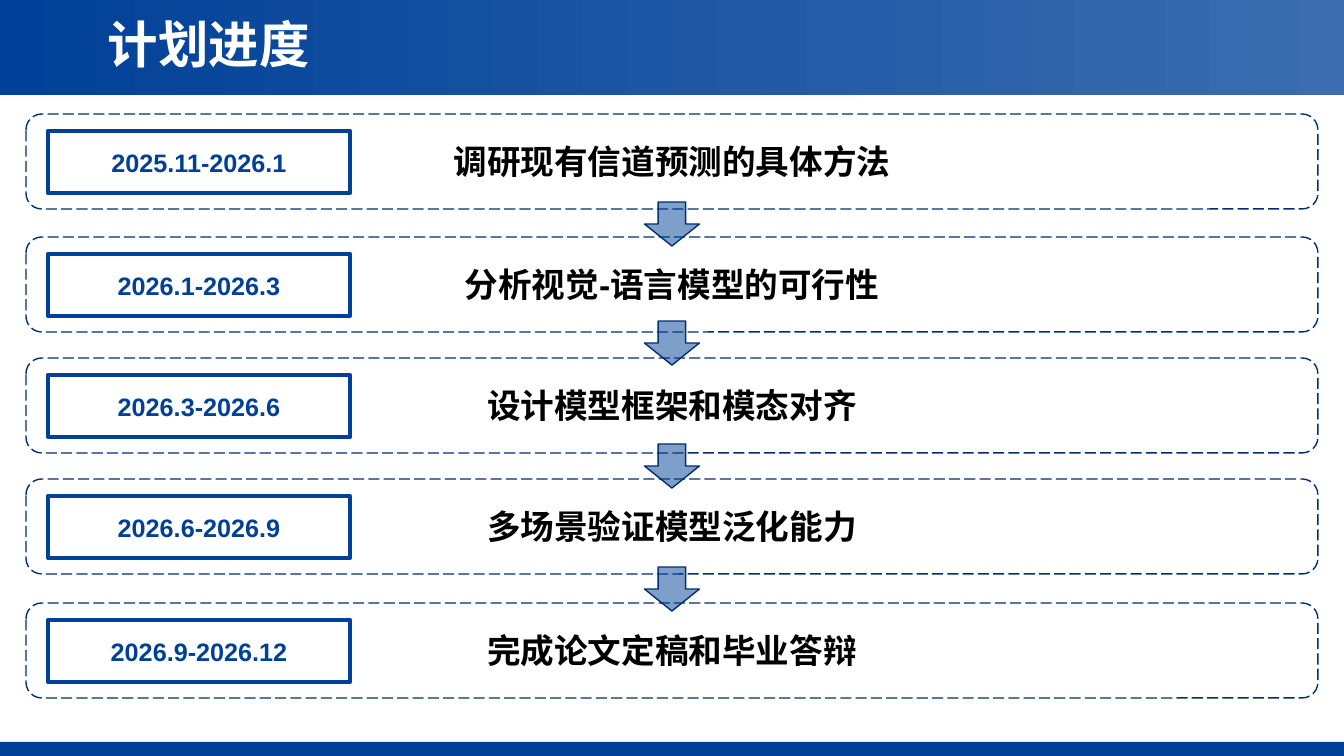
import lxml.etree
import pptx
import pptx.dml.color
import pptx.enum.dml
import pptx.enum.shapes
import pptx.enum.text
import pptx.oxml.ns
import pptx.util

SHAPE = pptx.enum.shapes.MSO_SHAPE
ALIGN = pptx.enum.text.PP_ALIGN
MIDDLE = pptx.enum.text.MSO_ANCHOR.MIDDLE
LONG_DASH = pptx.enum.dml.MSO_LINE.LONG_DASH

WIDTH, HEIGHT = 1344, 756
HEADER_HEIGHT, FOOTER_HEIGHT = 95, 14
STAGE_LEFT, STAGE_WIDTH, STAGE_HEIGHT = 26, 1292, 95
ARROW_WIDTH, ARROW_HEIGHT = 55, 44
BLUE, NAVY, WHITE, BLACK = "004098", "002F70", "FFFFFF", "000000"
CHINESE_FONT = "Noto Sans CJK SC"

STAGES = [
    (114, "2025.11-2026.1", "调研现有信道预测的具体方法"),
    (237, "2026.1-2026.3", "分析视觉-语言模型的可行性"),
    (358, "2026.3-2026.6", "设计模型框架和模态对齐"),
    (479, "2026.6-2026.9", "多场景验证模型泛化能力"),
    (603, "2026.9-2026.12", "完成论文定稿和毕业答辩"),
]
ARROW_TOPS = [202, 321, 444, 567]


def px(length):
    return pptx.util.Emu(round(length * 914400 / 100.8))


def color(value):
    return pptx.dml.color.RGBColor.from_string(value)


def add_block(page, kind, left, top, width, height, fill, line=None, weight=1):
    block = page.shapes.add_shape(kind, px(left), px(top), px(width), px(height))
    block.shadow.inherit = False
    block.fill.solid()
    block.fill.fore_color.rgb = color(fill)
    if line:
        block.line.color.rgb = color(line)
        block.line.width = pptx.util.Pt(weight)
    else:
        block.line.fill.background()
    return block


def write(shape, text, size, ink, font="Arial", align=ALIGN.CENTER):
    frame = shape.text_frame
    frame.text = text
    frame.word_wrap = True
    frame.vertical_anchor = MIDDLE
    para = frame.paragraphs[0]
    para.alignment = align
    span = para.runs[0]
    span.font.name = font
    span.font.size = pptx.util.Pt(size)
    span.font.bold = True
    span.font.color.rgb = color(ink)
    east_asian = lxml.etree.SubElement(span.font._element, pptx.oxml.ns.qn("a:ea"))
    east_asian.set("typeface", CHINESE_FONT)


def add_header(page, left, top, width, height):
    band = add_block(page, SHAPE.RECTANGLE, left, top, width, height, BLUE)
    band.fill.gradient()
    band.fill.gradient_angle = 0
    for stop, shade in zip(band.fill.gradient_stops, (BLUE, "3B6DB0")):
        stop.color.rgb = color(shade)

    title = page.shapes.title
    title.element.getparent().append(title.element)
    title.left, title.top = px(left + 92), px(top)
    title.width, title.height = px(width - 92), px(height)
    write(title, "计划进度", 36, WHITE, CHINESE_FONT, ALIGN.LEFT)
    frame = title.text_frame
    frame.margin_left = frame.margin_right = px(16)
    frame.margin_top = frame.margin_bottom = px(16)
    frame.paragraphs[0].line_spacing = 0.9


def add_stage(page, left, top, width, height, period, task):
    panel = add_block(page, SHAPE.ROUNDED_RECTANGLE, left, top, width, height, WHITE, NAVY)
    panel.line.dash_style = LONG_DASH
    write(panel, task, 24, BLACK)
    label = add_block(page, SHAPE.RECTANGLE, left + 22, top + 17, 302, 62, WHITE, BLUE, 3)
    write(label, period, 18, BLUE)


def add_arrow(page, left, top, width, height):
    arrow = add_block(page, SHAPE.DOWN_ARROW, left, top, width, height, BLUE, NAVY)
    fill = arrow.element.spPr.find(pptx.oxml.ns.qn("a:solidFill"))
    lxml.etree.SubElement(fill[0], pptx.oxml.ns.qn("a:alpha")).set("val", "50000")


def main():
    deck = pptx.Presentation()
    deck.slide_width, deck.slide_height = px(WIDTH), px(HEIGHT)
    page = deck.slides.add_slide(deck.slide_layouts[5])
    add_header(page, 0, 0, WIDTH, HEADER_HEIGHT)
    add_block(page, SHAPE.RECTANGLE, 0, HEIGHT - FOOTER_HEIGHT, WIDTH, FOOTER_HEIGHT, BLUE)
    for top, period, task in STAGES:
        add_stage(page, STAGE_LEFT, top, STAGE_WIDTH, STAGE_HEIGHT, period, task)
    for top in ARROW_TOPS:
        add_arrow(page, (WIDTH - ARROW_WIDTH) / 2, top, ARROW_WIDTH, ARROW_HEIGHT)
    deck.save("out.pptx")


if __name__ == "__main__":
    main()
